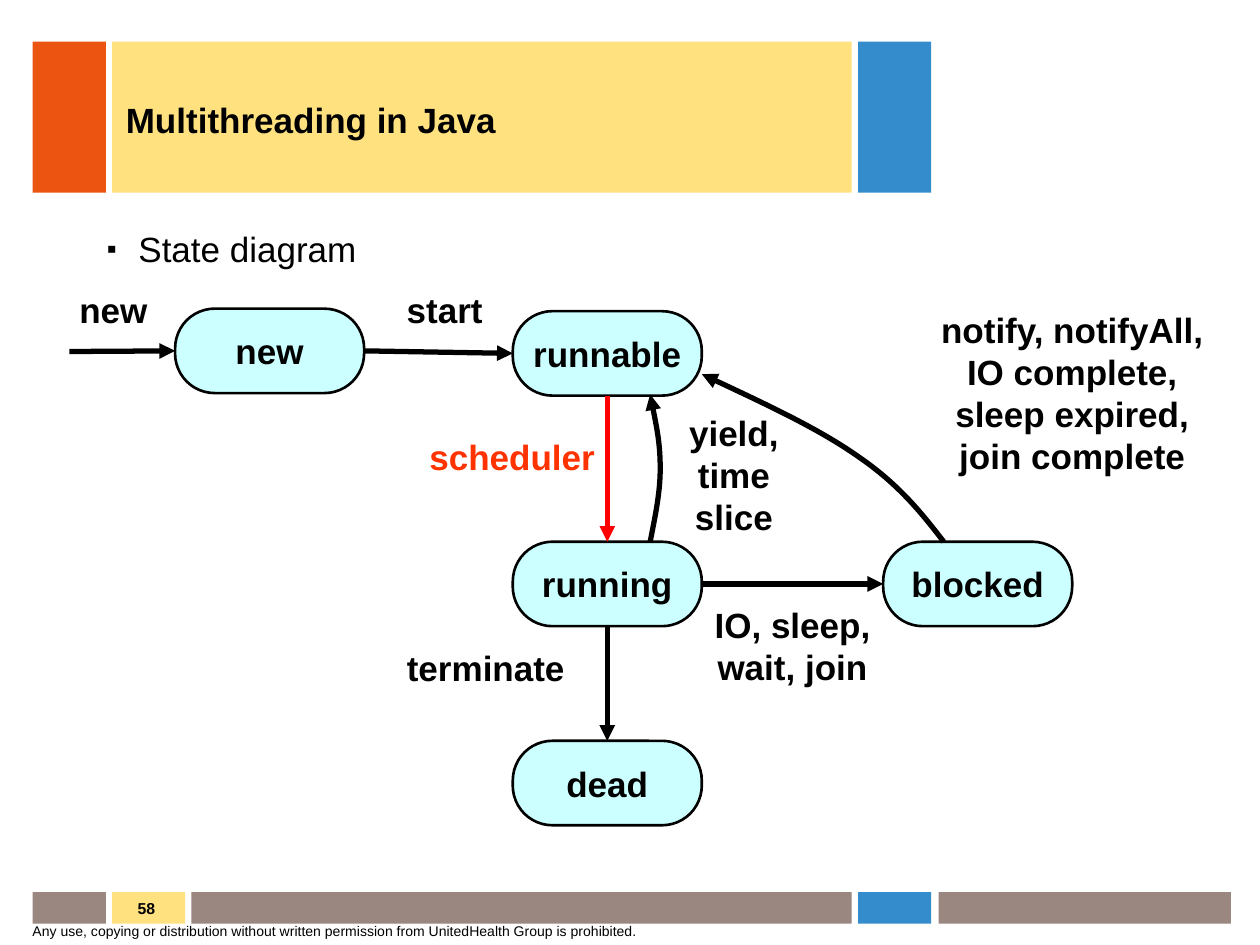
from lxml import etree
from pptx import Presentation
from pptx.dml.color import RGBColor
from pptx.enum.shapes import MSO_CONNECTOR, MSO_SHAPE
from pptx.enum.text import MSO_ANCHOR, MSO_AUTO_SIZE, PP_ALIGN
from pptx.oxml.ns import qn
from pptx.util import Inches, Pt

RECT, ROUND = MSO_SHAPE.RECTANGLE, MSO_SHAPE.ROUNDED_RECTANGLE
STRAIGHT = MSO_CONNECTOR.STRAIGHT
LEFT, CENTER, RIGHT = PP_ALIGN.LEFT, PP_ALIGN.CENTER, PP_ALIGN.RIGHT
TOP, MIDDLE = MSO_ANCHOR.TOP, MSO_ANCHOR.MIDDLE
GROW = MSO_AUTO_SIZE.SHAPE_TO_FIT_TEXT

BLACK = RGBColor(0x00, 0x00, 0x00)
RED = RGBColor(0xFF, 0x00, 0x00)
SCARLET = RGBColor(0xFF, 0x33, 0x00)
ORANGE = RGBColor(0xEB, 0x54, 0x11)
YELLOW = RGBColor(0xFF, 0xE1, 0x80)
BLUE = RGBColor(0x34, 0x8C, 0xCC)
TAUPE = RGBColor(0x99, 0x87, 0x80)
CYAN = RGBColor(0xCC, 0xFF, 0xFF)

HEAD = [(0.26, 0.58, ORANGE), (0.89, 5.87, YELLOW), (6.81, 0.58, BLUE)]
FOOT = [(0.26, 0.58, TAUPE), (0.89, 0.58, YELLOW), (1.52, 5.24, TAUPE),
        (6.81, 0.58, BLUE), (7.45, 2.32, TAUPE)]
STATES = {"runnable": (4.07, 2.47), "new": (1.39, 2.45), "dead": (4.07, 5.88),
          "running": (4.07, 4.3), "blocked": (7.01, 4.3)}
MOVES = [("new", 3, "runnable", 1, BLACK), ("runnable", 2, "running", 0, RED),
         ("running", 3, "blocked", 1, BLACK), ("running", 2, "dead", 0, BLACK)]
CURVES = [
    [(5.16, 4.3), (5.2, 4.1), (5.24, 3.91), (5.24, 3.72),
     (5.24, 3.52), (5.2, 3.33), (5.16, 3.13)],
    [(7.49, 4.3), (7.32, 4.08), (7.14, 3.85), (6.82, 3.63),
     (6.51, 3.41), (6.04, 3.19), (5.57, 2.97)],
]
LABELS = [
    ((3.26, 3.41, 1.61, 0.44), ["scheduler"], SCARLET, False),
    ((0.53, 2.24, 0.74, 0.44), ["new"], BLACK, False),
    ((3.08, 2.24, 0.9, 0.44), ["start"], BLACK, False),
    ((3.08, 5.08, 1.55, 0.44), ["terminate"], BLACK, False),
    ((5.52, 4.74, 1.54, 0.77), ["IO, sleep,", "wait, join"], BLACK, False),
    ((5.16, 3.22, 1.33, 1.1), ["yield,", "time slice"], BLACK, True),
    ((7.29, 2.4, 2.44, 1.44),
     ["notify, notifyAll,", "IO complete, sleep expired,", "join complete"],
     BLACK, True),
]


def write(frame, lines, size=20, bold=True, color=BLACK, align=LEFT,
          anchor=TOP, wrap=True):
    """Fill a text frame with one paragraph per line."""
    frame.word_wrap = wrap
    frame.vertical_anchor = anchor
    for i, line in enumerate(lines):
        para = frame.add_paragraph() if i else frame.paragraphs[0]
        para.alignment = align
        run = para.add_run()
        run.text = line
        run.font.name = "Arial"
        run.font.size = Pt(size)
        run.font.bold = bold
        run.font.color.rgb = color


def add_text(slide, box, lines, **style):
    """Add a text box and return its frame."""
    frame = slide.shapes.add_textbox(*map(Inches, box)).text_frame
    write(frame, lines, **style)
    return frame


def add_block(slide, kind, box, fill):
    """Add a filled shape with no shadow and no line."""
    block = slide.shapes.add_shape(kind, *map(Inches, box))
    block.shadow.inherit = False
    block.fill.solid()
    block.fill.fore_color.rgb = fill
    block.line.fill.background()
    return block


def add_band(slide, top, height, tiles):
    """Add a row of coloured tiles."""
    for left, width, fill in tiles:
        add_block(slide, RECT, (left, top, width, height), fill)


def add_state(slide, name, left, top):
    """Add a rounded state node."""
    node = add_block(slide, ROUND, (left, top, 1.5, 0.67), CYAN)
    node.adjustments[0] = 0.47
    node.line.color.rgb = BLACK
    node.line.width = Pt(1.5)
    write(node.text_frame, [name], align=CENTER, anchor=MIDDLE, wrap=False)
    return node


def style_arrow(shape, color=BLACK):
    """Give a line its colour, width and arrowhead."""
    shape.line.color.rgb = color
    shape.line.width = Pt(3)
    stroke = shape.element.spPr.find(qn("a:ln"))
    etree.SubElement(stroke, qn("a:tailEnd"), type="triangle")


def add_arrow(slide, start, end, color=BLACK):
    """Add a straight arrow between two points."""
    arrow = slide.shapes.add_connector(STRAIGHT, *map(Inches, start + end))
    style_arrow(arrow, color)
    etree.SubElement(arrow.element.spPr, qn("a:effectLst"))
    return arrow


def add_curve(slide, points):
    """Add a curved arrow from a start point and Bezier triples."""
    spots = [(Inches(x), Inches(y)) for x, y in points]
    build = slide.shapes.build_freeform(*spots[0])
    build.add_line_segments(spots[1:], close=False)
    curve = build.convert_to_shape()
    curve.shadow.inherit = False
    curve.fill.background()
    style_arrow(curve)
    steps = list(curve.element.iter(qn("a:lnTo")))
    for i in range(0, len(steps), 3):
        bend = etree.Element(qn("a:cubicBezTo"))
        steps[i].addprevious(bend)
        for step in steps[i:i + 3]:
            bend.append(step[0])
            step.getparent().remove(step)


def add_bullet(slide):
    """Add the bulleted lead line."""
    frame = add_text(slide, (0.75, 1.76, 8.85, 0.5), ["State diagram"],
                     bold=False)
    para = frame.paragraphs[0]
    props = para._p.get_or_add_pPr()
    props.set("marL", str(Inches(0.25)))
    props.set("indent", str(-Inches(0.25)))
    etree.SubElement(props, qn("a:buSzPct"), val="80000")
    etree.SubElement(props, qn("a:buFont"), typeface="Arial")
    etree.SubElement(props, qn("a:buChar"), char="▪")
    para.space_after = Pt(6.2)


def main():
    """Build and save the slide."""
    deck = Presentation()
    deck.slide_width, deck.slide_height = Inches(10), Inches(7.5)
    slide = deck.slides.add_slide(deck.slide_layouts[6])
    add_band(slide, 0.33, 1.2, HEAD)
    add_band(slide, 7.08, 0.25, FOOT)
    add_text(slide, (-0.75, 7.08, 2.08, 0.25), ["58"], size=9, align=RIGHT)
    add_text(slide, (0.16, 7.27, 6.47, 0.28),
             ["Any use, copying or distribution without written permission "
              "from UnitedHealth Group is prohibited."], size=8, bold=False)
    add_text(slide, (0.9, 0.35, 5.85, 1.19), ["Multithreading in Java"],
             anchor=MIDDLE)
    add_bullet(slide)
    nodes = {name: add_state(slide, name, *spot)
             for name, spot in STATES.items()}
    for source, out, target, into, color in MOVES:
        arrow = add_arrow(slide, STATES[source], STATES[target], color)
        arrow.begin_connect(nodes[source], out)
        arrow.end_connect(nodes[target], into)
    entry = add_arrow(slide, (0.55, 2.79), (1.39, 2.79))
    entry.end_connect(nodes["new"], 1)
    for points in CURVES:
        add_curve(slide, points)
    for box, lines, color, wrap in LABELS:
        frame = add_text(slide, box, lines, color=color, align=CENTER,
                         wrap=wrap)
        frame.auto_size = GROW
    deck.save("out.pptx")


if __name__ == "__main__":
    main()
